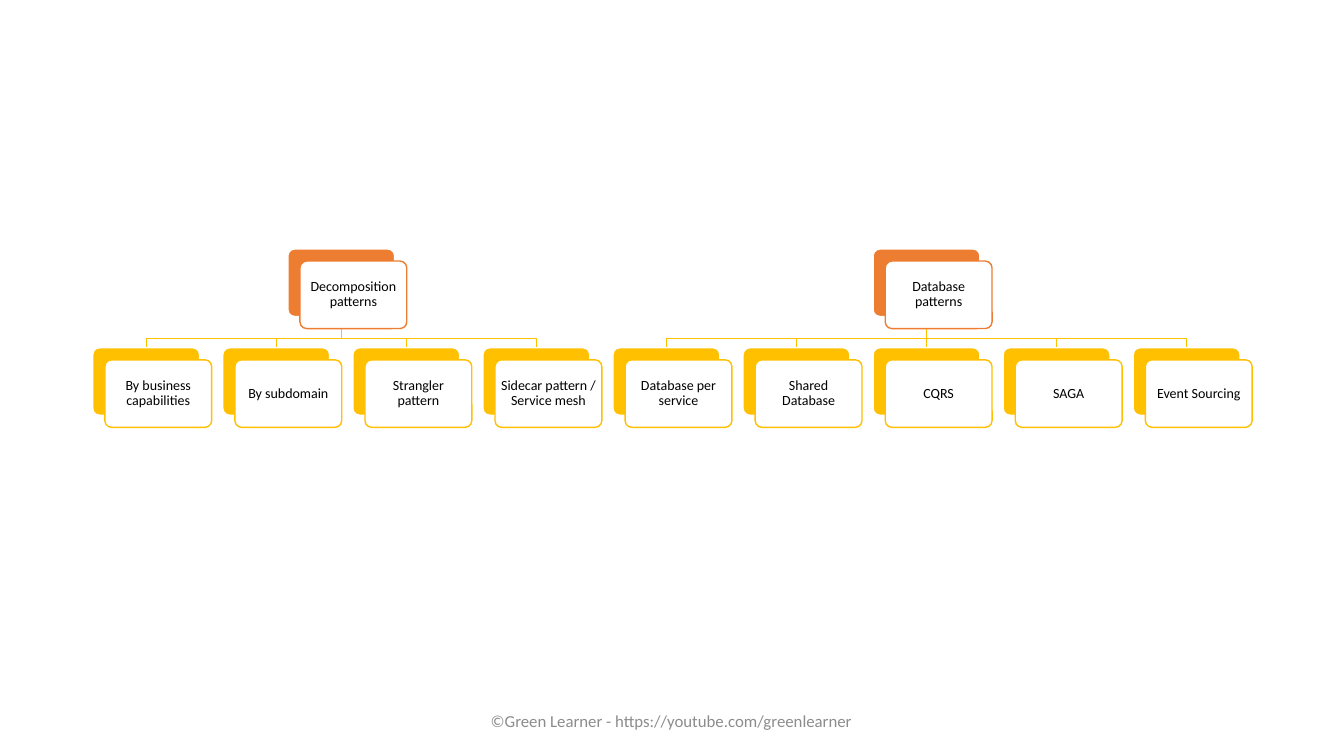
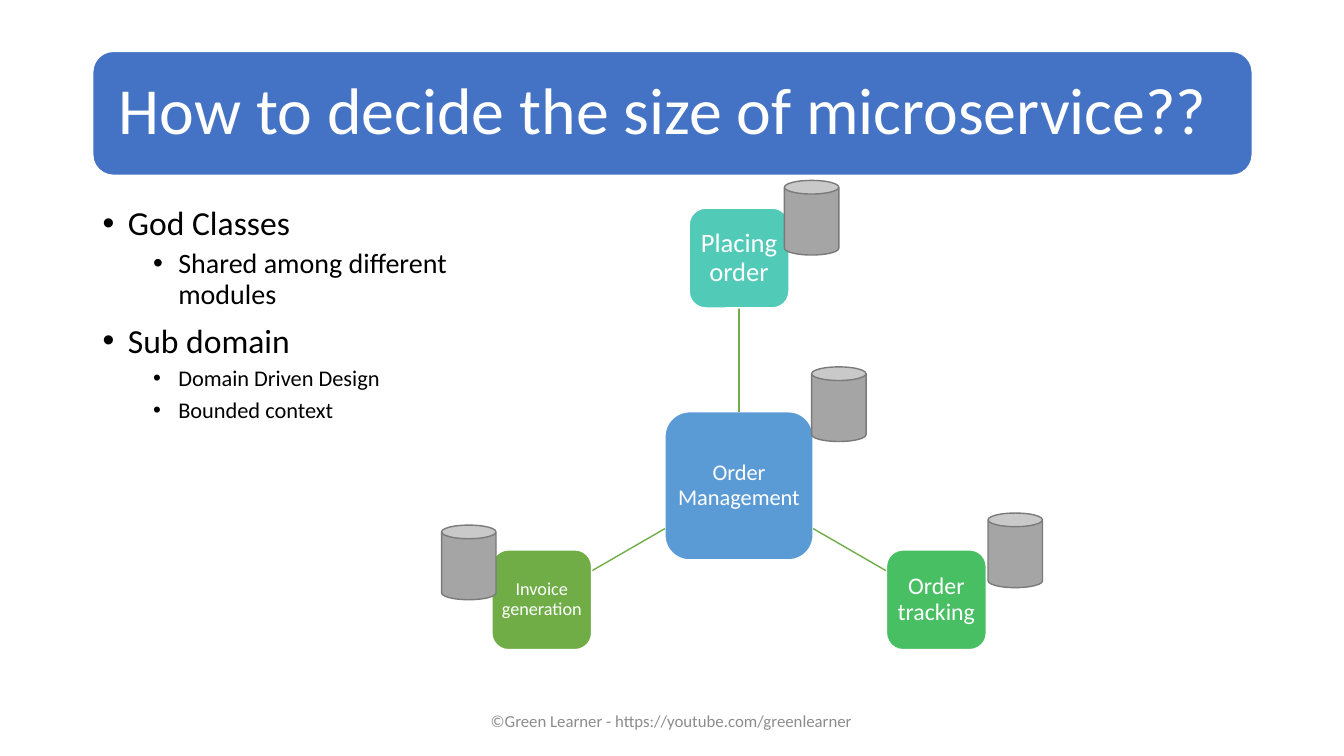
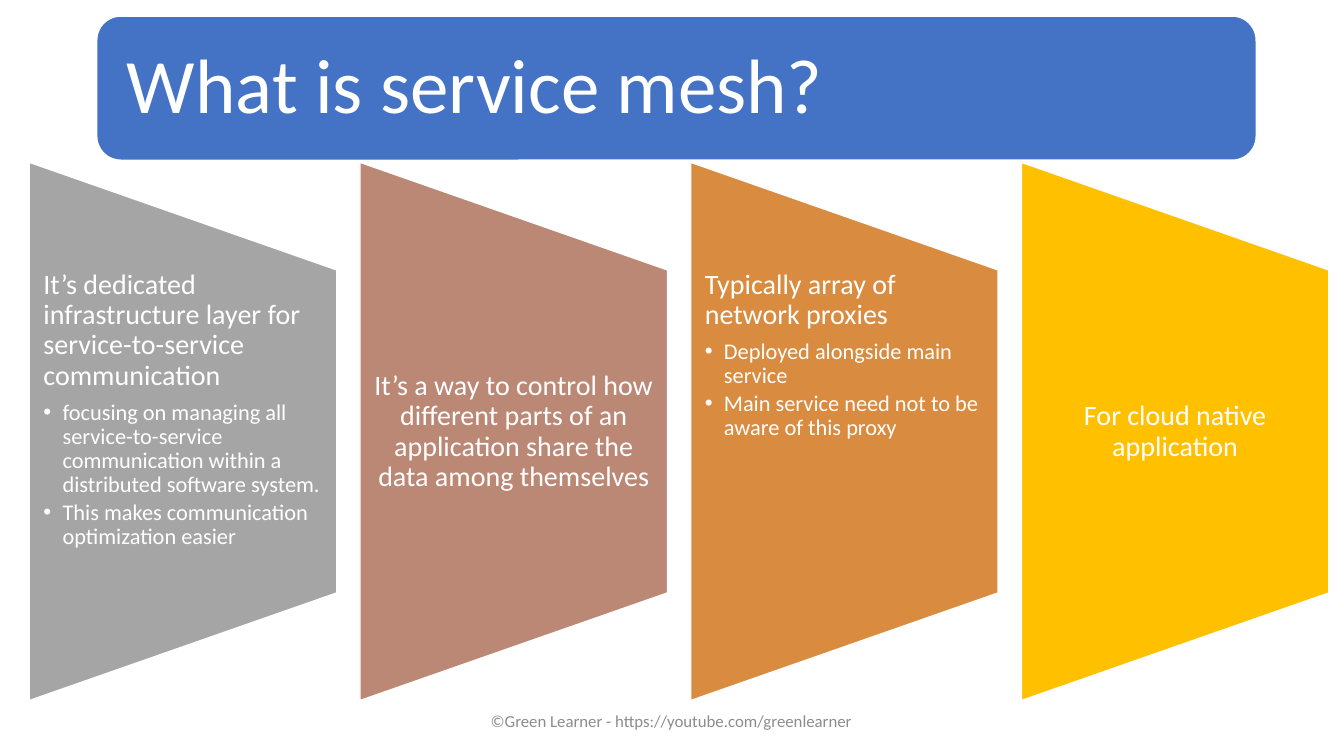
import math

import pptx
import pptx.dml.color
import pptx.enum.shapes
import pptx.enum.text
import pptx.oxml.ns
import pptx.util
from lxml import etree

Inches = pptx.util.Inches
Pt = pptx.util.Pt
RGBColor = pptx.dml.color.RGBColor
SHAPE = pptx.enum.shapes.MSO_SHAPE
ANCHOR = pptx.enum.text.MSO_ANCHOR
ALIGN = pptx.enum.text.PP_ALIGN
qn = pptx.oxml.ns.qn

FONT = "Calibri"
WHITE = RGBColor(0xFF, 0xFF, 0xFF)
BLACK = RGBColor(0x00, 0x00, 0x00)
MUTED = RGBColor(0x8C, 0x8C, 0x8C)
BLUE = RGBColor(0x44, 0x72, 0xC4)
SKY = RGBColor(0x5B, 0x9B, 0xD5)
TEAL = RGBColor(0x52, 0xCA, 0xB8)
EMERALD = RGBColor(0x49, 0xBF, 0x64)
GREEN = RGBColor(0x70, 0xAD, 0x47)
ORANGE = RGBColor(0xED, 0x7D, 0x31)
GOLD = RGBColor(0xFF, 0xC0, 0x00)
GRAY = RGBColor(0xA5, 0xA5, 0xA5)
SLATE = RGBColor(0x7A, 0x7A, 0x7A)
ROSE = RGBColor(0xBB, 0x88, 0x76)
AMBER = RGBColor(0xD9, 0x8B, 0x3F)

FOOTER = "©Green Learner - https://youtube.com/greenlearner"

GROUPS = [
    ("Decomposition patterns",
     ["By business capabilities", "By subdomain", "Strangler pattern",
      "Sidecar pattern / Service mesh"]),
    ("Database patterns",
     ["Database per service", "Shared Database", "CQRS", "SAGA",
      "Event Sourcing"]),
]
TOPICS = [
    ("God Classes", 0, 24),
    ("Shared among different modules", 1, 20),
    ("Sub domain", 0, 24),
    ("Domain Driven Design", 1, 16),
    ("Bounded context", 1, 16),
]
# Text, angle in degrees, fill, text size, margin
SPOKES = [
    ("Placing order", -90, TEAL, 19, 0.05),
    ("Order tracking", 30, EMERALD, 17, 0.05),
    ("Invoice generation", 150, GREEN, 13, 0.04),
]
CANS = [(8.05, 3.64), (9.8, 5.09), (7.78, 1.79), (4.38, 5.21)]
PANELS = [
    (GRAY, "It’s dedicated infrastructure layer for service-to-service "
           "communication",
     ["focusing on managing all service-to-service communication within a "
      "distributed software system.",
      "This makes communication optimization easier"]),
    (ROSE, "It’s a way to control how different parts of an application "
           "share the data among themselves", []),
    (AMBER, "Typically array of network proxies",
     ["Deployed alongside main service",
      "Main service need not to be aware of this proxy"]),
    (GOLD, "For cloud native application", []),
]


def write(frame, text, size=16, color=WHITE, align=ALIGN.LEFT, line=0.9,
          before=0, after=0, level=0, bullet=None):
    """Add a paragraph; bullet is (left margin, hanging) in inches."""
    para = frame.paragraphs[0]
    if para.runs:
        para = frame.add_paragraph()
        para.space_before = Pt(before)
    para.level = level
    if bullet:
        left, hang = bullet
        props = para._p.get_or_add_pPr()
        props.set("marL", str(Inches(left)))
        props.set("indent", str(-Inches(hang)))
        etree.SubElement(props, qn("a:buFont")).set("typeface", "Arial")
        etree.SubElement(props, qn("a:buChar")).set("char", "•")
    para.alignment = align
    para.line_spacing = line
    para.space_after = Pt(after)
    run = para.add_run()
    run.text = text
    run.font.name = FONT
    run.font.size = Pt(size)
    run.font.color.rgb = color


def setup(frame, side=0.1, edge=0.05, anchor=ANCHOR.MIDDLE):
    """Set wrapping, margins and anchor of a text frame."""
    frame.word_wrap = True
    frame.margin_left = frame.margin_right = Inches(side)
    frame.margin_top = frame.margin_bottom = Inches(edge)
    frame.vertical_anchor = anchor
    return frame


def add_text(slide, x, y, w, h, **layout):
    box = slide.shapes.add_textbox(Inches(x), Inches(y), Inches(w), Inches(h))
    return setup(box.text_frame, **layout)


def add_box(slide, kind, x, y, w, h, fill, line=WHITE):
    box = slide.shapes.add_shape(
        kind, Inches(x), Inches(y), Inches(w), Inches(h))
    box.shadow.inherit = False
    box.fill.solid()
    box.fill.fore_color.rgb = fill
    box.line.color.rgb = line
    box.line.width = Pt(1)
    return box


def add_line(slide, x1, y1, x2, y2, color):
    line = slide.shapes.add_connector(
        pptx.enum.shapes.MSO_CONNECTOR.STRAIGHT,
        Inches(x1), Inches(y1), Inches(x2), Inches(y2))
    line.line.color.rgb = color
    line.line.width = Pt(1)
    etree.SubElement(line._element.spPr, qn("a:effectLst"))


def add_bend(slide, points, color):
    """Draw an open line through the points."""
    start, *rest = [(Inches(x), Inches(y)) for x, y in points]
    route = slide.shapes.build_freeform(*start)
    route.add_line_segments(rest, close=False)
    bend = route.convert_to_shape()
    bend.shadow.inherit = False
    bend.fill.background()
    bend.line.color.rgb = color
    bend.line.width = Pt(1)


def add_title(slide, text, x, y, h, size, pad):
    bar = add_box(slide, SHAPE.ROUNDED_RECTANGLE, x, y, 11.5, h, BLUE)
    write(setup(bar.text_frame, pad, pad), text, size=size)


def add_card(slide, text, x, y, color):
    """Draw a coloured card with a white, labelled card in front of it."""
    w, h, shift = 1.06, 0.67, 0.12
    back = add_box(slide, SHAPE.ROUNDED_RECTANGLE, x, y, w, h, color)
    front = add_box(slide, SHAPE.ROUNDED_RECTANGLE, x + shift, y + shift,
                    w, h, WHITE, color)
    for card in (back, front):
        card.adjustments[0] = 0.1
    write(setup(front.text_frame, 0.04, 0.04), text, size=10, color=BLACK,
          align=ALIGN.CENTER)


def add_node(slide, text, x, y, side, fill, size, pad):
    """Draw a labelled square centred on a point."""
    node = add_box(slide, SHAPE.ROUNDED_RECTANGLE, x - side / 2, y - side / 2,
                   side, side, fill)
    write(setup(node.text_frame, pad, pad), text, size=size,
          align=ALIGN.CENTER)


def add_tree(slide, head, leaves, first):
    """Draw one group, whose leaves begin at column number first."""
    left, pitch, half = 0.92, 1.29, 0.53
    top, base, bar, low = 2.47, 3.15, 3.36, 3.45
    cols = [left + pitch * (first + i) for i in range(len(leaves))]
    root = (cols[0] + cols[-1]) / 2
    stem = root + half
    for x in reversed(cols):
        if abs(x - root) < 0.01:
            add_line(slide, stem, base, stem, low, GOLD)
        else:
            add_bend(slide, [(stem, base), (stem, bar), (x + half, bar),
                             (x + half, low)], GOLD)
    add_card(slide, head, root, top, ORANGE)
    for x, leaf in zip(cols, leaves):
        add_card(slide, leaf, x, low, GOLD)


def add_panel(slide, x, fill, head, points):
    wide, tall, top = 3.05, 5.34, 1.61
    panel = add_box(slide, SHAPE.FLOWCHART_MANUAL_OPERATION,
                    x + (wide - tall) / 2, top + (tall - wide) / 2,
                    tall, wide, fill)
    panel.rotation = 270
    frame = add_text(slide, x, 2.68, wide, 3.21, side=0.14, edge=0,
                     anchor=ANCHOR.TOP if points else ANCHOR.MIDDLE)
    write(frame, head, size=20, after=7,
          align=ALIGN.LEFT if points else ALIGN.CENTER)
    for point in points:
        write(frame, point, size=16, after=2.4, level=1, bullet=(0.19, 0.19))


def draw_map(slide):
    first = 0
    for head, leaves in GROUPS:
        add_tree(slide, head, leaves, first)
        first += len(leaves)


def draw_size(slide):
    add_title(slide, "How to decide the size of microservice??",
              0.92, 0.51, 1.23, 47, 0.2)
    frame = add_text(slide, 0.92, 2, 4.35, 4.76, anchor=ANCHOR.TOP)
    for text, level, size in TOPICS:
        write(frame, text, size=size, color=BLACK, level=level,
              before=5 if level else 10, bullet=(0.25 + 0.5 * level, 0.25))

    x, y, reach, hub, side = 7.33, 4.82, 2.26, 1.47, 0.99
    add_node(slide, "Order Management", x, y, hub, SKY, 16, 0.04)
    for text, angle, fill, size, pad in SPOKES:
        dx, dy = math.cos(math.radians(angle)), math.sin(math.radians(angle))
        edge = max(abs(dx), abs(dy))
        start, end = hub / 2 / edge, reach - side / 2 / edge
        add_line(slide, x + start * dx, y + start * dy,
                 x + end * dx, y + end * dy, GREEN)
        add_node(slide, text, x + reach * dx, y + reach * dy, side, fill,
                 size, pad)
    for left, top in CANS:
        add_box(slide, SHAPE.CAN, left, top, 0.54, 0.74, GRAY, SLATE)


def draw_mesh(slide):
    add_title(slide, "What is service mesh?", 0.96, 0.16, 1.43, 55, 0.23)
    for i, (fill, head, points) in enumerate(PANELS):
        add_panel(slide, 0.29 + 3.28 * i, fill, head, points)


def main():
    deck = pptx.Presentation()
    deck.slide_width, deck.slide_height = Inches(13.33), Inches(7.5)
    for draw in (draw_map, draw_size, draw_mesh):
        slide = deck.slides.add_slide(deck.slide_layouts[6])
        draw(slide)
        write(add_text(slide, 4.41, 6.95, 4.5, 0.4), FOOTER, size=12,
              color=MUTED, align=ALIGN.CENTER, line=1)
    deck.save("out.pptx")


if __name__ == "__main__":
    main()
